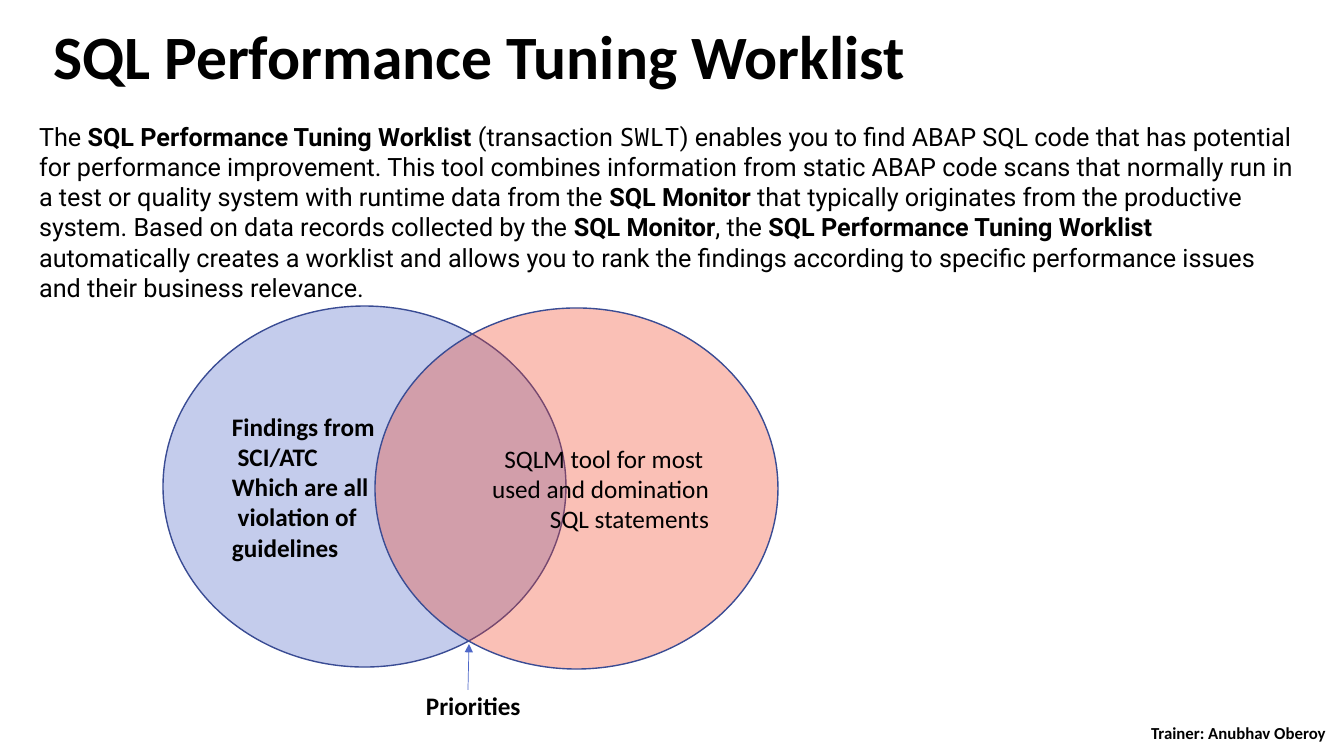
from pptx import Presentation
from pptx.dml.color import RGBColor
from pptx.enum.shapes import MSO_CONNECTOR, MSO_SHAPE
from pptx.enum.text import MSO_ANCHOR, MSO_AUTO_SIZE, PP_ALIGN
from pptx.oxml.ns import qn
from pptx.util import Emu, Pt
from lxml.etree import SubElement

# Content
TITLE = " SQL Performance Tuning Worklist"
TRAINER = "Trainer: Anubhav Oberoy"
PRIORITIES = "Priorities"
# Each span: text, font, bold
DESCRIPTION = [
    ("The ", "Roboto", False),
    ("SQL Performance Tuning Worklist", "Roboto", True),
    (" (transaction ", "Roboto", False),
    ("SWLT", "Noto Sans Mono", False),
    (") enables you to find ABAP SQL code that has potential for performance "
     "improvement. This tool combines information from static ABAP code scans "
     "that normally run in a test or quality system with runtime data from the ",
     "Roboto", False),
    ("SQL Monitor", "Roboto", True),
    (" that typically originates from the productive system. "
     "Based on data records collected by the ", "Roboto", False),
    ("SQL Monitor", "Roboto", True),
    (", the ", "Roboto", False),
    ("SQL Performance Tuning Worklist", "Roboto", True),
    (" automatically creates a worklist and allows you to rank the findings "
     "according to specific performance issues and their business relevance.",
     "Roboto", False),
]
# Each circle: left, top, fill, alignment, bold, lines
CIRCLES = [
    (163, 306, "4E67C8", PP_ALIGN.LEFT, True,
     ["Findings from", " SCI/ATC", "Which are all", " violation of", "guidelines"]),
    (375, 308, "F14124", PP_ALIGN.RIGHT, False,
     ["SQLM tool for most ", "used and domination", " SQL statements"]),
]
CIRCLE_SIZE = (403, 361)
CIRCLE_ALPHA = 33

# Scale: 100.8 px to the inch
EMU_PER_PX = 914400 / 100.8


def px(*lengths):
    return [Emu(round(length * EMU_PER_PX)) for length in lengths]


def color(value):
    return RGBColor.from_string(value)


def style(span, size, bold, font="Calibri"):
    span.font.size = Pt(size)
    span.font.bold = bold
    span.font.name = font
    span.font.color.rgb = color("000000")


def write(shape, lines, size, bold, align=PP_ALIGN.LEFT, anchor=MSO_ANCHOR.TOP):
    frame = shape.text_frame
    frame.text = "\n".join(lines)
    frame.word_wrap = True
    frame.auto_size = MSO_AUTO_SIZE.NONE
    frame.vertical_anchor = anchor
    for para in frame.paragraphs:
        para.alignment = align
        for span in para.runs:
            style(span, size, bold)


def move(shape, *bounds):
    shape.left, shape.top, shape.width, shape.height = px(*bounds)


deck = Presentation()
deck.slide_width, deck.slide_height = px(1344, 756)
page = deck.slides.add_slide(deck.slide_layouts[1])
for spare in list(page.placeholders)[2:]:
    spare.element.getparent().remove(spare.element)

# Title
title = page.shapes.title
move(title, 29, 21, 1245, 79)
write(title, [TITLE], 44, True)
title.text_frame.paragraphs[0].line_spacing = 0.9

# Trainer
trainer = page.shapes.add_textbox(*px(1116, 722, 245, 22))
write(trainer, [TRAINER], 12, True, PP_ALIGN.CENTER, MSO_ANCHOR.MIDDLE)

# Description, without bullet or indent
body = page.placeholders[1]
move(body, 29, 116, 1277, 194)
body.text_frame.auto_size = MSO_AUTO_SIZE.NONE
para = body.text_frame.paragraphs[0]
para.space_before = Pt(0)
properties = para._p.get_or_add_pPr()
properties.set("marL", "0")
properties.set("indent", "0")
SubElement(properties, qn("a:buNone"))
for text, font, bold in DESCRIPTION:
    span = para.add_run()
    span.text = text
    style(span, 18, bold, font)

# Overlapping circles
for left, top, fill, align, bold, lines in CIRCLES:
    circle = page.shapes.add_shape(MSO_SHAPE.OVAL, *px(left, top, *CIRCLE_SIZE))
    circle.shadow.inherit = False
    circle.fill.solid()
    circle.fill.fore_color.rgb = color(fill)
    fill_color = circle.fill._xPr.find(qn("a:solidFill"))[0]
    SubElement(fill_color, qn("a:alpha"), val=str(CIRCLE_ALPHA * 1000))
    circle.line.color.rgb = color("3A4C94")
    circle.line.width = Pt(1)
    write(circle, lines, 18, bold, align, MSO_ANCHOR.MIDDLE)

# Priorities label and its arrow to the overlap
label = page.shapes.add_textbox(*px(416, 685, 297, 40))
write(label, [PRIORITIES], 18, True)
arrow = page.shapes.add_connector(MSO_CONNECTOR.STRAIGHT, *px(468, 690, 469, 644))
arrow.line.color.rgb = color("4E67C8")
arrow.line.width = Pt(0.5)
SubElement(arrow.line._get_or_add_ln(), qn("a:tailEnd"), type="triangle")
SubElement(arrow._element.spPr, qn("a:effectLst"))

deck.save("out.pptx")
